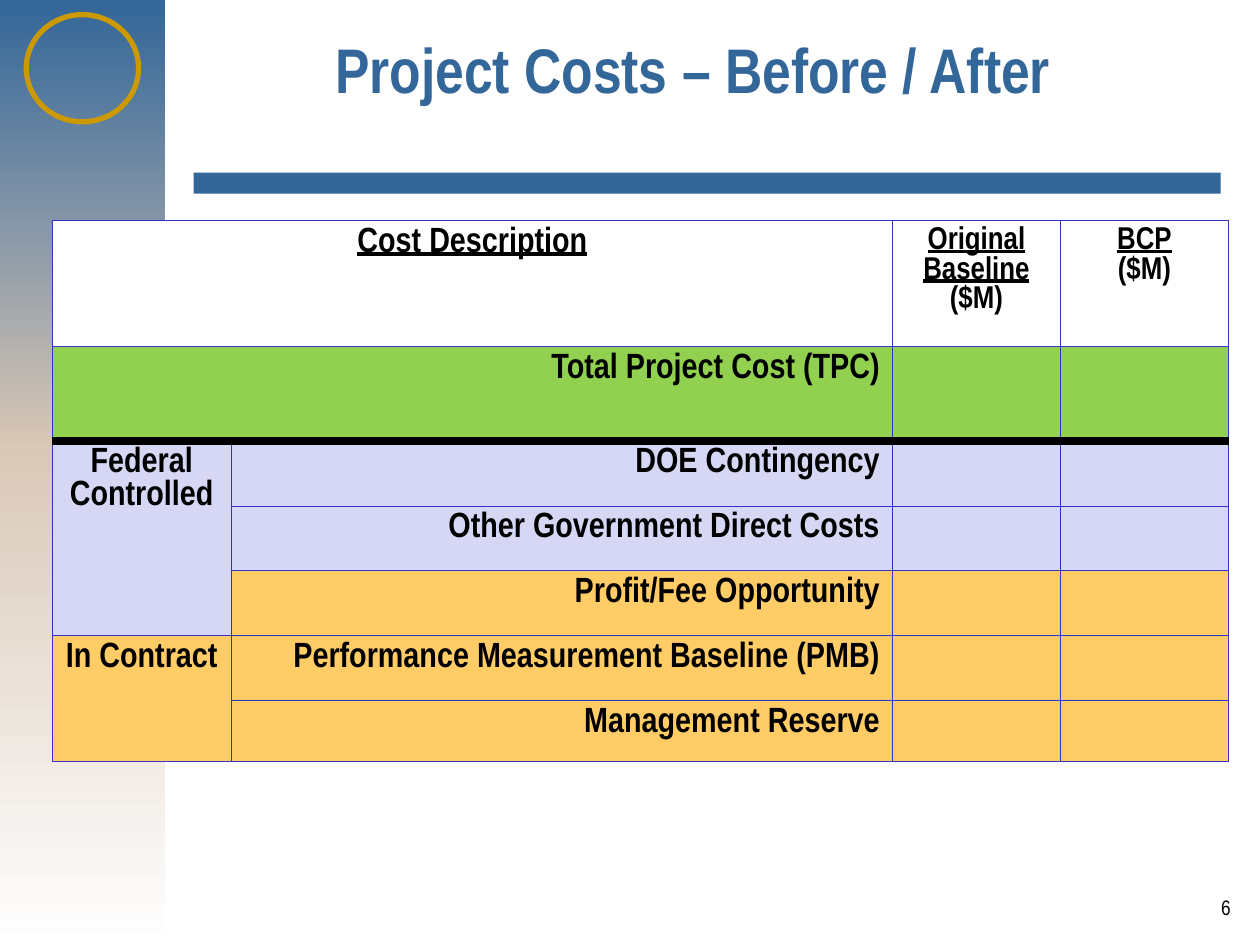
from dataclasses import dataclass
from typing import Optional

from lxml.etree import SubElement
from pptx import Presentation
from pptx.dml.color import RGBColor
from pptx.enum.shapes import MSO_CONNECTOR, MSO_SHAPE
from pptx.enum.text import MSO_ANCHOR, MSO_AUTO_SIZE, PP_ALIGN
from pptx.oxml import parse_xml
from pptx.oxml.ns import nsdecls, qn
from pptx.util import Emu, Inches, Pt


@dataclass(frozen=True)
class Theme:
    font: str = "Arial Narrow"
    blue: str = "336699"
    sand: str = "D7C6B5"
    gold: str = "CC9900"
    white: str = "FFFFFF"
    black: str = "000000"
    green: str = "92D050"
    lilac: str = "D6D6F5"
    orange: str = "FFCC66"
    border: str = "3333CC"
    title_size: int = 36
    label_size: int = 20
    heading_size: int = 18
    number_size: int = 12
    border_width: float = 0.45


@dataclass(frozen=True)
class Area:
    """A rectangle in grid units: the slide is 120 columns by 90 rows."""
    column: float
    row: float
    columns: float
    rows: float

    def lengths(self) -> tuple:
        return tuple(map(grid, (self.column, self.row, self.columns, self.rows)))


@dataclass(frozen=True)
class Span:
    text: str
    underline: bool = False


@dataclass(frozen=True)
class Label:
    row: int
    column: int
    paras: tuple
    align: PP_ALIGN = PP_ALIGN.RIGHT
    size: int = Theme.label_size
    rows: int = 1
    columns: int = 1


THEME = Theme()
GRID_COLUMNS, GRID_ROWS = 120, 90
UNIT = Inches(10) / GRID_COLUMNS

TABLE_COLUMNS = (17, 63, 16, 16)
TABLE_ROWS = (12, 9, 6.2, 6.1, 6.2, 6.2, 5.8)
TABLE = Area(5, 21, sum(TABLE_COLUMNS), sum(TABLE_ROWS))
ROW_FILLS = (THEME.white, THEME.green, THEME.lilac, THEME.lilac,
             THEME.orange, THEME.orange, THEME.orange)
CENTER = PP_ALIGN.CENTER
UNIT_NOTE = Span("($M)")

LABELS = (
    Label(0, 0, ((Span("Cost Description", True),),), CENTER, columns=2),
    Label(0, 2, ((Span("Original Baseline ", True), UNIT_NOTE),), CENTER, THEME.heading_size),
    Label(0, 3, ((Span("BCP", True),), (UNIT_NOTE,)), CENTER, THEME.heading_size),
    Label(1, 0, ((Span("Total Project Cost (TPC)"),),), columns=2),
    Label(2, 0, ((Span("Federal"),), (Span("Controlled"),)), CENTER, rows=3),
    Label(2, 1, ((Span("DOE Contingency"),),)),
    Label(3, 1, ((Span("Other Government Direct Costs"),),)),
    Label(4, 1, ((Span("Profit/Fee Opportunity"),),)),
    Label(5, 0, ((Span("In Contract"),),), CENTER, rows=2),
    Label(5, 1, ((Span("Performance Measurement Baseline (PMB)"),),)),
    Label(6, 1, ((Span("Management Reserve"),),)),
)


def grid(units: float) -> Emu:
    return Emu(round(units * UNIT))


def color(value: str) -> RGBColor:
    return RGBColor.from_string(value)


def set_values(target, values: dict) -> None:
    for name, value in values.items():
        setattr(target, name, value)


def write(frame, paras: tuple, size: int, ink: str, align: PP_ALIGN,
          bold: bool = True) -> None:
    frame.word_wrap = True
    for index, spans in enumerate(paras):
        para = frame.add_paragraph() if index else frame.paragraphs[0]
        set_values(para, {"alignment": align, "line_spacing": 1.0})
        for span in spans:
            run = para.add_run()
            run.text = span.text
            set_values(run.font, {"name": THEME.font, "size": Pt(size),
                                  "bold": bold, "underline": span.underline})
            run.font.color.rgb = color(ink)


def add_plain_shape(page, kind: MSO_SHAPE, area: Area, fills: tuple = (),
                    outline: Optional[str] = None) -> None:
    """No fills leaves the shape hollow, one is solid, two run top to bottom."""
    shape = page.shapes.add_shape(kind, *area.lengths())
    shape.shadow.inherit = False
    if len(fills) == 2:
        shape.fill.gradient()
        shape.fill.gradient_angle = 270
        for position, (stop, value) in enumerate(zip(shape.fill.gradient_stops, fills)):
            stop.position = position
            stop.color.rgb = color(value)
    elif fills:
        shape.fill.solid()
        shape.fill.fore_color.rgb = color(fills[0])
    else:
        shape.fill.background()
    if outline:
        shape.line.color.rgb = color(outline)
        shape.line.width = Pt(3)
    else:
        shape.line.fill.background()


def add_borders(cell) -> None:
    properties = cell._tc.get_or_add_tcPr()
    for index, side in enumerate(("lnL", "lnR", "lnT", "lnB")):
        properties.insert(index, parse_xml(
            f'<a:{side} {nsdecls("a")} w="{Pt(THEME.border_width)}"><a:solidFill>'
            f'<a:srgbClr val="{THEME.border}"/></a:solidFill></a:{side}>'))


def add_cost_table(page) -> None:
    table = page.shapes.add_table(len(TABLE_ROWS), len(TABLE_COLUMNS), *TABLE.lengths()).table
    for column, units in zip(table.columns, TABLE_COLUMNS):
        column.width = grid(units)
    for row, units, fill in zip(table.rows, TABLE_ROWS, ROW_FILLS):
        row.height = grid(units)
        for cell in row.cells:
            cell.fill.solid()
            cell.fill.fore_color.rgb = color(fill)
            add_borders(cell)
    for label in LABELS:
        cell = table.cell(label.row, label.column)
        if label.rows > 1 or label.columns > 1:
            cell.merge(table.cell(label.row + label.rows - 1, label.column + label.columns - 1))
        write(cell.text_frame, label.paras, label.size, THEME.black, label.align)


def add_divider(page) -> None:
    height = grid(TABLE.row + sum(TABLE_ROWS[:2]))
    line = page.shapes.add_connector(MSO_CONNECTOR.STRAIGHT, grid(TABLE.column), height,
                                     grid(TABLE.column + TABLE.columns), height)
    line.line.color.rgb = color(THEME.black)
    line.line.width = Pt(4.5)
    SubElement(line._element.spPr, qn("a:effectLst"))


def add_title(page, text: str) -> None:
    title = page.shapes.title
    sides = Area(16, 0, 100, 13).lengths()
    set_values(title, dict(zip(("left", "top", "width", "height"), sides)))
    set_values(title.text_frame, {"vertical_anchor": MSO_ANCHOR.MIDDLE,
                                  "auto_size": MSO_AUTO_SIZE.NONE})
    write(title.text_frame, ((Span(text),),), THEME.title_size, THEME.blue, CENTER)


def main() -> None:
    deck = Presentation()
    deck.slide_width, deck.slide_height = grid(GRID_COLUMNS), grid(GRID_ROWS)
    page = deck.slides.add_slide(deck.slide_layouts.get_by_name("Title Only"))
    add_plain_shape(page, MSO_SHAPE.RECTANGLE, Area(0, 40.8, 15.75, 49.2),
                    (THEME.sand, THEME.white))
    add_plain_shape(page, MSO_SHAPE.RECTANGLE, Area(0, 0, 15.75, 42.2),
                    (THEME.blue, THEME.sand))
    add_plain_shape(page, MSO_SHAPE.OVAL, Area(2.5, 1.4, 10.7, 10.2), outline=THEME.gold)
    add_plain_shape(page, MSO_SHAPE.RECTANGLE, Area(18.45, 16.45, 97.8, 2), (THEME.blue,))
    add_title(page, "Project Costs – Before / After")
    add_cost_table(page)
    number = page.shapes.add_textbox(*Area(87, 84.6, 31.4, 4).lengths())
    write(number.text_frame, ((Span("6"),),), THEME.number_size, THEME.black,
          PP_ALIGN.RIGHT, bold=False)
    add_divider(page)
    deck.save("out.pptx")


if __name__ == "__main__":
    main()
